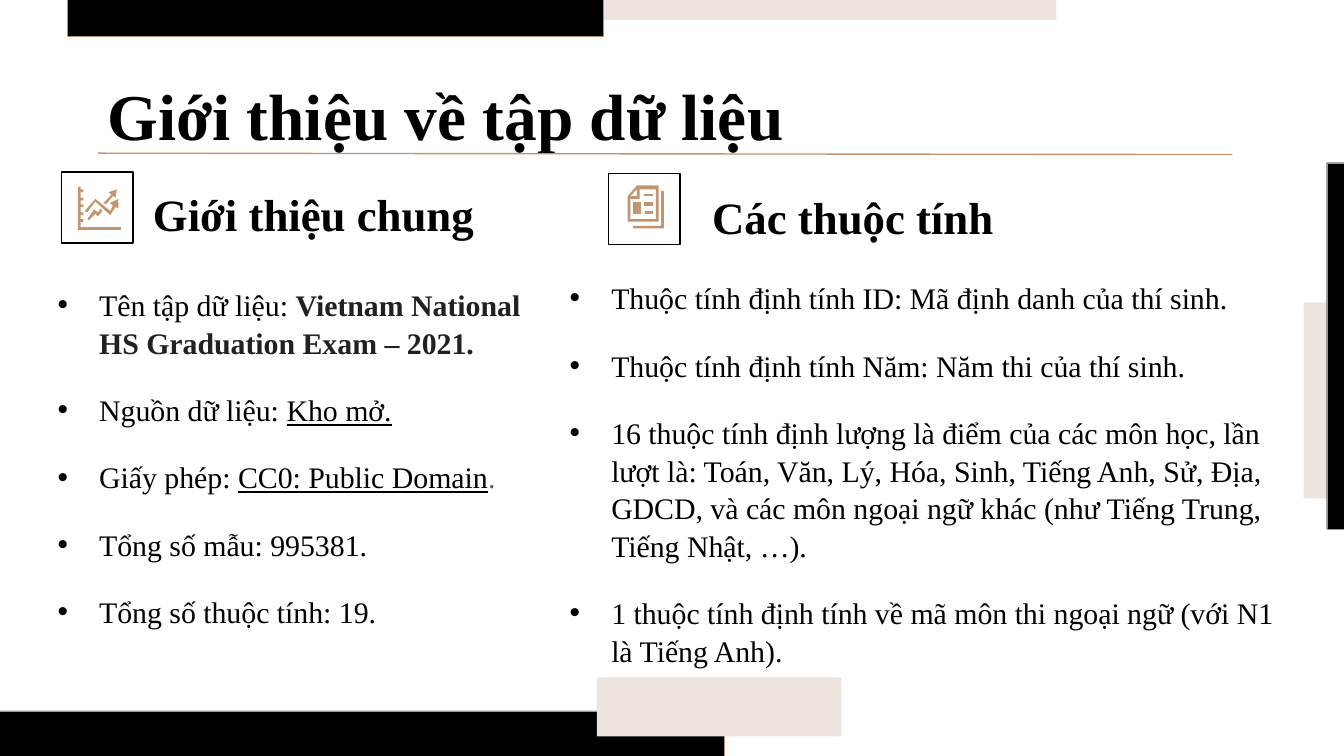
from lxml import etree
from pptx import Presentation
from pptx.dml.color import RGBColor
from pptx.enum.shapes import MSO_CONNECTOR, MSO_SHAPE
from pptx.enum.text import MSO_ANCHOR
from pptx.oxml.ns import qn
from pptx.util import Pt

PX = 9144  # EMU per px, 100 px to the inch
W, H = 1000, 562
FONT = "Times New Roman"

BLACK = RGBColor(0x00, 0x00, 0x00)
INK = RGBColor(0x20, 0x21, 0x24)
GREY = RGBColor(0x5F, 0x63, 0x68)
BEIGE = RGBColor(0xED, 0xE4, 0xDD)
TAN = RGBColor(0xC2, 0x95, 0x6F)
EDGE = RGBColor(0xB5, 0x94, 0x6F)

RECT = MSO_SHAPE.RECTANGLE
STRAIGHT = MSO_CONNECTOR.STRAIGHT
TOP, BOTTOM = MSO_ANCHOR.TOP, MSO_ANCHOR.BOTTOM


def box(x, y, w, h):
    """Corner points of a rectangle."""
    return [(x, y), (x, y + h), (x + w, y + h), (x + w, y)]


class Deck:
    def __init__(self, prs):
        self.slide = prs.slides.add_slide(prs.slide_layouts[6])
        self.shapes = self.slide.shapes

    def paint(self, sp, fill=None, line=None, width=0.75):
        sp.shadow.inherit = False
        if fill is None:
            sp.fill.background()
        else:
            sp.fill.solid()
            sp.fill.fore_color.rgb = fill
        if line is None:
            sp.line.fill.background()
        else:
            sp.line.color.rgb = line
            sp.line.width = Pt(width)

    def rect(self, x, y, w, h, shapes=None, **style):
        shapes = shapes or self.shapes
        sp = shapes.add_shape(RECT, x * PX, y * PX, w * PX, h * PX)
        self.paint(sp, **style)

    def outline(self, shapes, contours):
        (first, *rest), *holes = contours
        fb = shapes.build_freeform(*first, scale=PX)
        fb.add_line_segments(rest, close=True)
        for start, *points in holes:
            fb.move_to(*start)
            fb.add_line_segments(points, close=True)
        self.paint(fb.convert_to_shape(), fill=TAN)

    def icon(self, x, y, parts):
        shapes = self.shapes.add_group_shape().shapes
        self.rect(x, y, 53, 53, shapes, line=BLACK)
        for contours in parts:
            self.outline(shapes, contours)

    def rule(self, x1, y1, x2, y2):
        ln = self.shapes.add_connector(STRAIGHT, x1 * PX, y1 * PX, x2 * PX, y2 * PX)
        ln.line.color.rgb = TAN
        ln.line.width = Pt(0.75)
        etree.SubElement(ln._element.spPr, qn("a:effectLst"))

    def frame(self, x, y, w, h, anchor):
        tf = self.shapes.add_textbox(x * PX, y * PX, w * PX, h * PX).text_frame
        tf.word_wrap = True
        tf.vertical_anchor = anchor
        tf.margin_left = tf.margin_right = tf.margin_top = tf.margin_bottom = 10 * PX
        return tf

    def style(self, r, size, color=BLACK, bold=False, underline=False):
        r.font.name = FONT
        r.font.size = Pt(size)
        r.font.color.rgb = color
        r.font.bold = bold
        r.font.underline = underline

    def heading(self, x, y, w, h, text, size, anchor=BOTTOM, spacing=1.0):
        tf = self.frame(x, y, w, h, anchor)
        tf.text = text
        p = tf.paragraphs[0]
        p.line_spacing = spacing
        self.style(p.runs[0], size, bold=True)

    def bullets(self, x, y, w, h, items):
        tf = self.frame(x, y, w, h, TOP)
        for i, item in enumerate(items):
            p = tf.add_paragraph() if i else tf.paragraphs[0]
            p.space_after = Pt(16)
            p.line_spacing = 1.05
            pPr = p._p.get_or_add_pPr()
            pPr.set("marL", str(31 * PX))
            pPr.set("indent", str(-31 * PX))
            clr = etree.SubElement(pPr, qn("a:buClr"))
            etree.SubElement(clr, qn("a:srgbClr"), val=str(BLACK))
            etree.SubElement(pPr, qn("a:buFont"), typeface="Arial")
            etree.SubElement(pPr, qn("a:buChar"), char="•")
            for text, look in item:
                r = p.add_run()
                r.text = text
                self.style(r, 16, **look)


PLAIN, LINK = {}, {"underline": True}

GENERAL = [
    [("Tên tập dữ liệu: ", PLAIN),
     ("Vietnam National HS Graduation Exam – 2021.", {"color": INK, "bold": True})],
    [("Nguồn dữ liệu: ", PLAIN), ("Kho mở.", LINK)],
    [("Giấy phép: ", PLAIN), ("CC0: Public Domain", LINK), (".", {"color": GREY})],
    [("Tổng số mẫu: 995381.", PLAIN)],
    [("Tổng số thuộc tính: 19.", PLAIN)],
]
ATTRIBUTES = [[(text, PLAIN)] for text in (
    "Thuộc tính định tính ID: Mã định danh của thí sinh.",
    "Thuộc tính định tính Năm: Năm thi của thí sinh.",
    "16 thuộc tính định lượng là điểm của các môn học, lần lượt là: Toán, Văn, Lý, "
    "Hóa, Sinh, Tiếng Anh, Sử, Địa, GDCD, và các môn ngoại ngữ khác "
    "(như Tiếng Trung, Tiếng Nhật, …).",
    "1 thuộc tính định tính về mã môn thi ngoại ngữ (với N1 là Tiếng Anh).",
)]

# Icon parts: each is an outer contour followed by its holes
TICKS = [pt for y in (163, 158, 152, 147, 141)
         for pt in ((60, y + 2), (62, y + 2), (62, y), (60, y))]
CHART_ICON = [
    [[(58, 139), (58, 171), (90, 171), (90, 169), (60, 169), *TICKS, (60, 139)]],
    [[(71, 148), (63, 157), (65, 158), (71, 150), (82, 160), (86, 154),
      (88, 155), (88, 148), (82, 151), (84, 153), (82, 157)]],
    [[(87, 141), (81, 143), (83, 145), (77, 151), (79, 152), (84, 146), (86, 147)]],
    [[(75, 155), (73, 158), (70, 156), (65, 163), (66, 164), (71, 159),
      (73, 161), (76, 157)]],
]
PAGES_ICON = [
    [[(474, 138), (467, 146), (467, 165), (490, 165), (490, 138)],
     [(474, 141), (474, 146), (469, 146)],
     [(488, 141), (488, 163), (469, 163), (469, 148), (476, 148), (476, 141)]],
    [box(479, 144, 7, 2)],
    [box(479, 150, 7, 3)],
    [box(480, 157, 6, 2)],
    [box(471, 150, 6, 9)],
    [[(492, 142), (492, 168), (471, 168), (471, 170), (494, 170), (494, 142)]],
]


def main():
    prs = Presentation()
    prs.slide_width = W * PX
    prs.slide_height = prs.slide_width * 9 // 16
    s = Deck(prs)

    # Edge bands
    band = {"fill": BLACK, "line": EDGE, "width": 0.02}
    s.rect(192, -10, 594, 25, fill=BEIGE)
    s.rect(50, -6, 399, 33, **band)
    s.rect(970, 225, 48, 146, fill=BEIGE)
    s.rect(987, 121, 41, 273, **band)
    s.rect(-9, 529, 548, 41, **band)
    s.rect(444, 504, 182, 44, fill=BEIGE)

    # Column headings and lists
    s.heading(104, 136, 296, 53, "Giới thiệu chung", 24)
    s.heading(520, 138, 262, 53, "Các thuộc tính", 24)
    s.bullets(33, 202, 380, 272, GENERAL)
    s.bullets(414, 197, 553, 326, ATTRIBUTES)

    # Title
    s.heading(70, 40, 843, 69, "Giới thiệu về tập dữ liệu", 35, TOP, 1.1)
    s.rule(73, 114, 917, 115)

    # Icons
    s.icon(453, 129, PAGES_ICON)
    s.icon(46, 128, CHART_ICON)

    prs.save("out.pptx")


if __name__ == "__main__":
    main()
